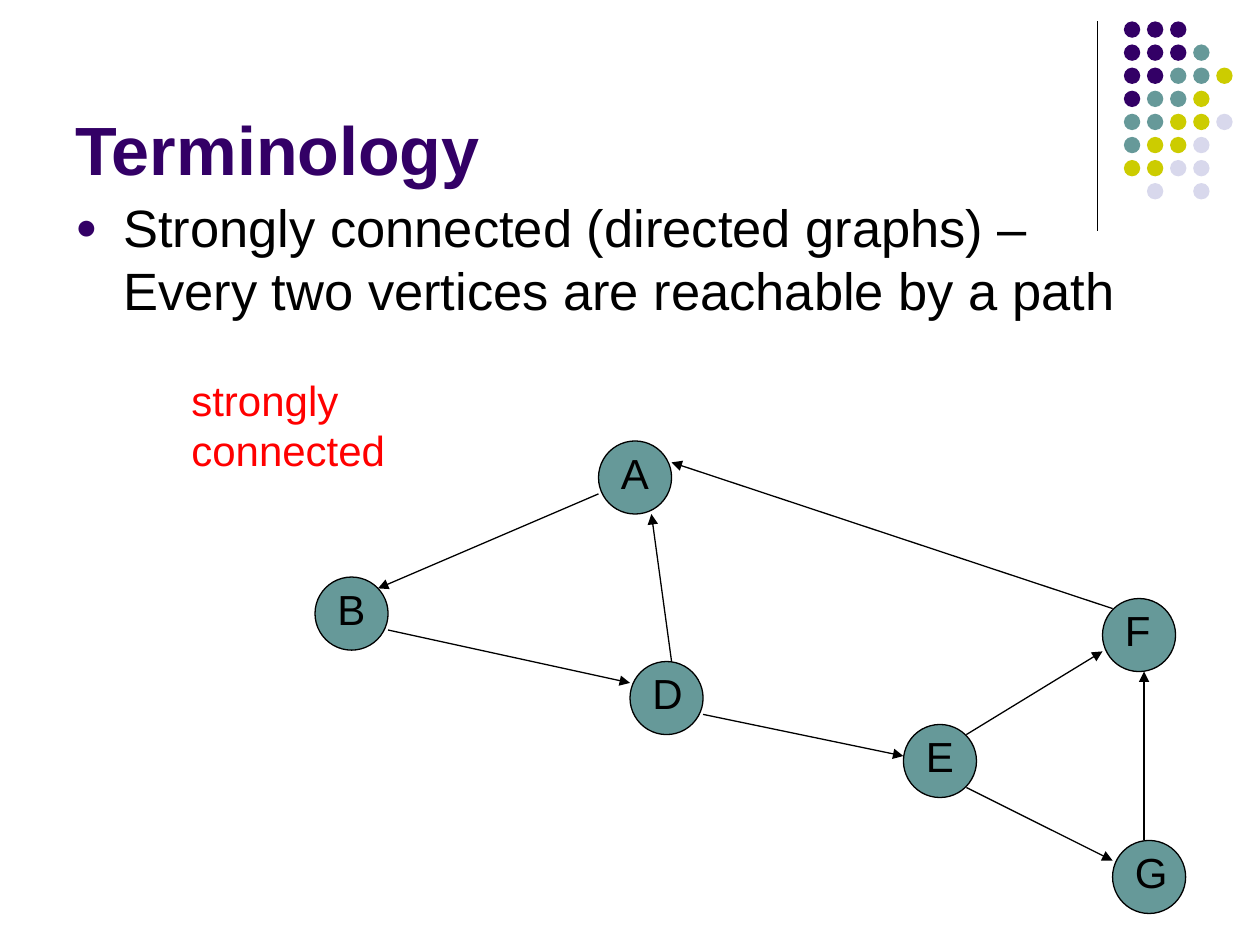
from lxml.etree import SubElement
from pptx import Presentation
from pptx.dml.color import RGBColor
from pptx.enum.shapes import MSO_CONNECTOR as Connector, MSO_SHAPE as Preset
from pptx.enum.text import MSO_ANCHOR as Anchor, MSO_AUTO_SIZE as AutoSize
from pptx.oxml import parse_xml
from pptx.oxml.ns import nsdecls, qn
from pptx.util import Inches, Pt

COLORS = {
    "purple": "330066",
    "teal": "669999",
    "olive": "CCCC00",
    "lavender": "D8D8EC",
    "black": "000000",
    "red": "FF0000",
}

DOT_COLORS = {"P": "purple", "T": "teal", "O": "olive", "L": "lavender"}
DOT_ROWS = ["PPP", "PPPT", "PPTTO", "PTTO", "TTOOL", "TOOL", "OOLL", " L L"]
DOT_SIZE, DOT_PITCH = 0.13, 0.55 / 3
DOT_LEFT, DOT_TOP = 8.92, 0.17

VERTEX_SIZE = 0.58
VERTICES = {
    "A": (4.75, 3.5),
    "B": (2.5, 4.58),
    "E": (7.17, 5.75),
    "D": (5, 5.25),
    "F": (8.75, 4.75),
    "G": (8.83, 6.67),
}
EDGES = [
    ((3.08, 5), (5, 5.42)),
    ((5.33, 5.25), (5.17, 4.08)),
    ((5.58, 5.67), (7.17, 6)),
    ((7.67, 5.83), (8.75, 5.17)),
    ((7.67, 6.25), (8.83, 6.83)),
    ((4.75, 3.92), (3, 4.67)),
    ((8.83, 4.83), (5.33, 3.67)),
    ((9.08, 6.67), (9.08, 5.33)),
]


def rgb(color):
    return RGBColor.from_string(COLORS[color])


class SlideBuilder:
    font_name = "Arial"
    line_width = Pt(0.75)

    def __init__(self, slide):
        self.shapes = slide.shapes

    def circle(self, left, top, size, fill, outline=None):
        circle = self.shapes.add_shape(
            Preset.OVAL, Inches(left), Inches(top), Inches(size), Inches(size))
        circle.shadow.inherit = False
        circle.fill.solid()
        circle.fill.fore_color.rgb = rgb(fill)
        if outline:
            circle.line.color.rgb = rgb(outline)
            circle.line.width = self.line_width
        else:
            circle.line.fill.background()
        return circle

    def line(self, start, end, arrow=False):
        line = self.shapes.add_connector(
            Connector.STRAIGHT, *(Inches(n) for n in (*start, *end)))
        line.line.color.rgb = rgb("black")
        line.line.width = self.line_width
        if arrow:
            SubElement(line.line._get_or_add_ln(), qn("a:tailEnd"), type="triangle")
        SubElement(line._element.spPr, qn("a:effectLst"))

    def text(self, words, box, size, color="black", bold=False,
             anchor=Anchor.TOP, grow=False, space_before=0):
        """Add a text box; space_before is a percentage of the line."""
        text_box = self.shapes.add_textbox(*(Inches(n) for n in box))
        frame = text_box.text_frame
        frame.word_wrap = True
        frame.vertical_anchor = anchor
        frame.auto_size = AutoSize.SHAPE_TO_FIT_TEXT if grow else AutoSize.NONE
        paragraph = frame.paragraphs[0]
        paragraph.text = words
        for run in paragraph.runs:
            run.font.name = self.font_name
            run.font.size = Pt(size)
            run.font.bold = bold
            run.font.color.rgb = rgb(color)
        if space_before:
            spacing = SubElement(paragraph._p.get_or_add_pPr(), qn("a:spcBef"))
            SubElement(spacing, qn("a:spcPct"), val=str(space_before * 1000))
        return text_box

    def bullet(self, words, box, size):
        text_box = self.text(words, box, size, space_before=20)
        properties = text_box.text_frame.paragraphs[0]._p.get_or_add_pPr()
        properties.set("marL", str(Inches(0.38)))
        properties.set("indent", str(Inches(-0.38)))
        for xml in (
            f'<a:buClr {nsdecls("a")}><a:srgbClr val="{COLORS["purple"]}"/></a:buClr>',
            f'<a:buSzPct {nsdecls("a")} val="70000"/>',
            f'<a:buFont {nsdecls("a")} typeface="{self.font_name}"/>',
            f'<a:buChar {nsdecls("a")} char="●"/>',
        ):
            properties.append(parse_xml(xml))

    def vertex(self, name, left, top):
        circle = self.circle(left, top, VERTEX_SIZE, "teal", "black")
        label = self.text(name, (left + 0.08, top, 0.5, 0.5), 24,
                          grow=True, space_before=50)
        self.shapes.add_group_shape([circle, label])

    def dot_pattern(self):
        dots = [
            self.circle(DOT_LEFT + column * DOT_PITCH, DOT_TOP + row * DOT_PITCH,
                        DOT_SIZE, DOT_COLORS[code])
            for row, codes in enumerate(DOT_ROWS)
            for column, code in enumerate(codes) if code != " "
        ]
        self.shapes.add_group_shape(dots)


def main():
    deck = Presentation()
    deck.slide_width, deck.slide_height = Inches(10), Inches(7.5)
    builder = SlideBuilder(deck.slides.add_slide(deck.slide_layouts[6]))

    builder.line((8.71, 0.17), (8.71, 1.83))
    builder.dot_pattern()
    builder.text("Terminology", (0.5, 0.13, 8.25, 1.42), 39, "purple",
                 bold=True, anchor=Anchor.BOTTOM)
    builder.bullet("Strongly connected (directed graphs) – \v"
                   "Every two vertices are reachable by a path",
                   (0.5, 1.5, 9, 1.17), 30)
    for name, (left, top) in VERTICES.items():
        builder.vertex(name, left, top)
    for start, end in EDGES:
        builder.line(start, end, arrow=True)
    builder.text("strongly connected", (1.42, 2.92, 2.33, 0.9), 24, "red",
                 grow=True, space_before=50)

    deck.save("out.pptx")


if __name__ == "__main__":
    main()
